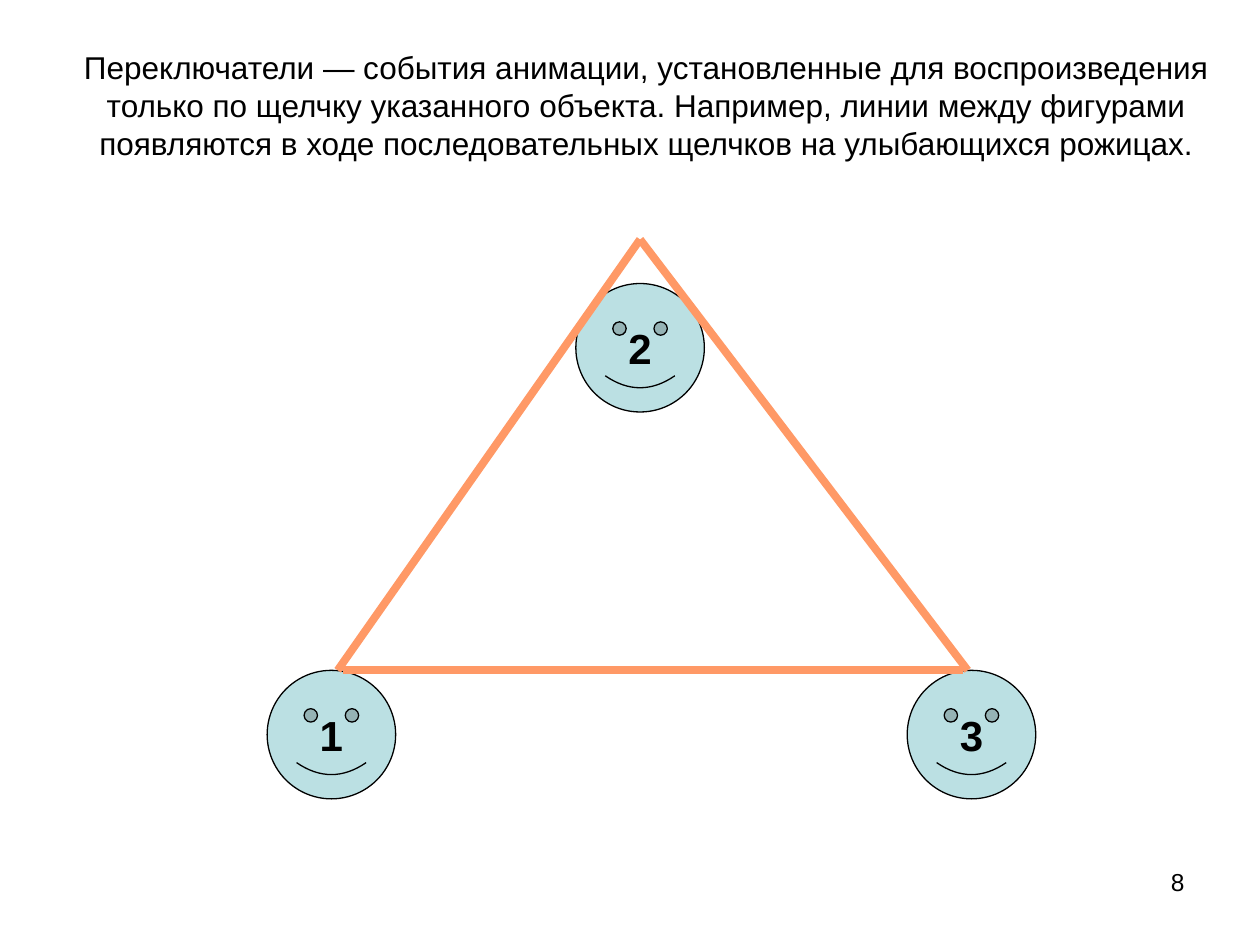
from pptx import Presentation
from pptx.dml.color import RGBColor
from pptx.enum.shapes import MSO_CONNECTOR, MSO_SHAPE
from pptx.enum.text import MSO_ANCHOR, MSO_AUTO_SIZE, PP_ALIGN
from pptx.oxml.ns import qn
from pptx.util import Inches, Pt
from lxml.etree import SubElement

BLACK = RGBColor(0x00, 0x00, 0x00)
PALE_TEAL = RGBColor(0xBB, 0xE0, 0xE3)
ORANGE = RGBColor(0xFF, 0x99, 0x66)

TITLE = ("Переключатели — события анимации, установленные для воспроизведения "
         "только по щелчку указанного объекта. Например, линии между фигурами "
         "появляются в ходе последовательных щелчков на улыбающихся рожицах.")
PAGE_NUMBER = "8"
FACE_SIZE = 1.02
FACES = [("1", 2.12, 5.32), ("2", 4.57, 2.25), ("3", 7.2, 5.32)]
APEX, BASE_Y = (5.08, 1.9), 5.32
LINES = [((2.68, BASE_Y), APEX),
         (APEX, (7.68, BASE_Y)),
         ((2.72, BASE_Y), (7.64, BASE_Y))]


def write(shape, text, align, anchor, wrap=True, **font):
    tf = shape.text_frame
    frame_format = {"auto_size": MSO_AUTO_SIZE.NONE,
                    "word_wrap": wrap, "vertical_anchor": anchor}
    for name, value in frame_format.items():
        setattr(tf, name, value)
    p = tf.paragraphs[0]
    p.alignment = align
    r = p.add_run()
    r.text = text
    for name, value in {"name": "Arial", **font}.items():
        setattr(r.font, name, value)
    r.font.color.rgb = BLACK


def add_face(s, label, left, top):
    face = s.shapes.add_shape(MSO_SHAPE.SMILEY_FACE, Inches(left), Inches(top),
                              Inches(FACE_SIZE), Inches(FACE_SIZE))
    face.shadow.inherit = False
    face.fill.solid()
    face.fill.fore_color.rgb = PALE_TEAL
    face.line.color.rgb = BLACK
    face.line.width = Pt(0.75)
    write(face, label, PP_ALIGN.CENTER, MSO_ANCHOR.MIDDLE, wrap=False,
          size=Pt(24), bold=True)


def add_line(s, start, end):
    line = s.shapes.add_connector(MSO_CONNECTOR.STRAIGHT,
                                  *map(Inches, start + end))
    line.line.color.rgb = ORANGE
    line.line.width = Pt(4.5)
    SubElement(line._element.spPr, qn("a:effectLst"))


prs = Presentation()
prs.slide_width, prs.slide_height = Inches(10), Inches(7.5)
s = prs.slides.add_slide(prs.slide_layouts[5])

title = s.shapes.title
title.left, title.top = Inches(0.5), Inches(0.21)
title.width, title.height = Inches(9.26), Inches(1.25)
write(title, TITLE, PP_ALIGN.CENTER, MSO_ANCHOR.MIDDLE, size=Pt(18))

number = s.shapes.add_textbox(Inches(7.17), Inches(6.83), Inches(2.33), Inches(0.52))
write(number, PAGE_NUMBER, PP_ALIGN.RIGHT, MSO_ANCHOR.TOP, size=Pt(14))

for face in FACES:
    add_face(s, *face)
for line in LINES:
    add_line(s, *line)

prs.save("out.pptx")
